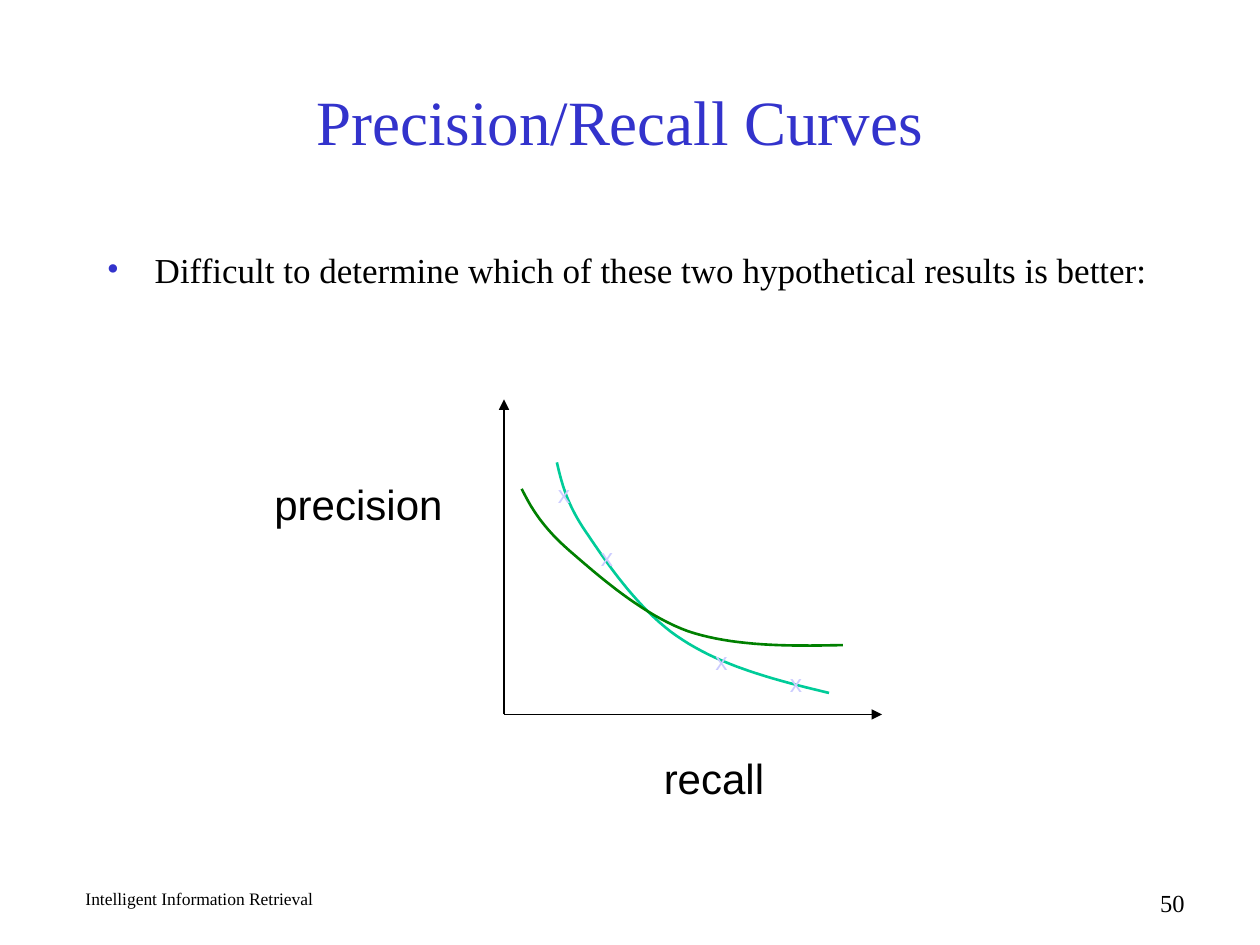
"""Build a slide comparing two hypothetical precision/recall curves."""
import pptx
import pptx.dml.color
import pptx.enum.shapes
import pptx.enum.text
import pptx.oxml
import pptx.oxml.ns
import pptx.util

Inches = pptx.util.Inches
Pt = pptx.util.Pt
RGBColor = pptx.dml.color.RGBColor
Align = pptx.enum.text.PP_ALIGN
Anchor = pptx.enum.text.MSO_ANCHOR

BLACK = RGBColor(0x00, 0x00, 0x00)
BLUE = RGBColor(0x33, 0x33, 0xCC)
TEAL = RGBColor(0x00, 0xCC, 0x99)
GREEN = RGBColor(0x00, 0x80, 0x00)
LAVENDER = RGBColor(0xCC, 0xCC, 0xFF)
SERIF = "Times New Roman"
SANS = "Arial"
STEPS = 20

deck = pptx.Presentation()
deck.slide_width = Inches(10)
deck.slide_height = Inches(7.5)
page = deck.slides.add_slide(deck.slide_layouts[6])


def add_text(text, left, top, width, height, size, font, color, align=Align.LEFT, wrap=True):
    box = page.shapes.add_textbox(Inches(left), Inches(top), Inches(width), Inches(height))
    box.text_frame.word_wrap = wrap
    if not wrap:
        box.text_frame.auto_size = pptx.enum.text.MSO_AUTO_SIZE.SHAPE_TO_FIT_TEXT
    para = box.text_frame.paragraphs[0]
    para.alignment = align
    span = para.add_run()
    span.text = text
    span.font.name = font
    span.font.size = Pt(size)
    span.font.color.rgb = color
    return box


def bezier_point(start, first, second, end, t):
    weights = ((1 - t) ** 3, 3 * t * (1 - t) ** 2, 3 * t ** 2 * (1 - t), t ** 3)
    return tuple(
        Inches(sum(weight * value for weight, value in zip(weights, values)))
        for values in zip(start, first, second, end)
    )


add_text("Intelligent Information Retrieval", 0.58, 7, 3.75, 0.25, 10, SERIF, BLACK)
add_text("50", 7.42, 7, 2.08, 0.25, 14, SERIF, BLACK, Align.RIGHT)
title = add_text("Precision/Recall Curves", 0.67, 0.33, 8.5, 1.25, 36, SERIF, BLUE, Align.CENTER)
title.text_frame.vertical_anchor = Anchor.MIDDLE

body = add_text(
    "Difficult to determine which of these two hypothetical results is better:",
    0.75, 1.92, 8.5, 4.5, 20, SERIF, BLACK,
)
para = body.text_frame.paragraphs[0]
para.space_before = Pt(4)
bullet = para._p.get_or_add_pPr()
bullet.set("marL", str(Inches(0.38)))
bullet.set("indent", str(Inches(-0.38)))
namespace = pptx.oxml.ns.nsdecls("a")
for xml in (
    f'<a:buClr {namespace}><a:srgbClr val="{BLUE}"/></a:buClr>',
    f'<a:buFont {namespace} typeface="{SERIF}"/>',
    f'<a:buChar {namespace} char="•"/>',
):
    bullet.append(pptx.oxml.parse_xml(xml))

origin = (4, 5.67)
for tip in ((4, 3.17), (7, 5.67)):
    axis = page.shapes.add_connector(
        pptx.enum.shapes.MSO_CONNECTOR.STRAIGHT, *map(Inches, origin + tip)
    )
    axis.line.color.rgb = BLACK
    axis.line.width = Pt(1)
    properties = axis._element.spPr
    outline = properties.find(pptx.oxml.ns.qn("a:ln"))
    outline.append(pptx.oxml.parse_xml(f'<a:tailEnd {namespace} type="triangle"/>'))
    properties.append(pptx.oxml.parse_xml(f"<a:effectLst {namespace}/>"))

curves = [
    (TEAL, [(4.42, 3.67), (4.46, 3.84), (4.5, 4.01), (4.67, 4.25), (4.83, 4.49),
            (5.1, 4.88), (5.42, 5.08), (5.74, 5.29), (6.16, 5.4), (6.58, 5.5)]),
    (GREEN, [(4.14, 3.88), (4.22, 4.04), (4.31, 4.19), (4.53, 4.38), (4.75, 4.57),
             (5.1, 4.88), (5.46, 5.01), (5.82, 5.13), (6.26, 5.13), (6.69, 5.12)]),
]
for color, controls in curves:
    points = [
        bezier_point(*controls[index:index + 4], step / STEPS)
        for index in range(0, len(controls) - 1, 3)
        for step in range(1, STEPS + 1)
    ]
    builder = page.shapes.build_freeform(*map(Inches, controls[0]))
    builder.add_line_segments(points, close=False)
    curve = builder.convert_to_shape()
    curve.shadow.inherit = False
    curve.fill.background()
    curve.line.color.rgb = color
    curve.line.width = Pt(1.5)

add_text("precision", 2.08, 3.75, 1.54, 0.5, 24, SANS, BLACK, wrap=False)
add_text("recall", 5.17, 5.92, 1, 0.5, 24, SANS, BLACK, wrap=False)
for left, top in ((5.58, 5.08), (4.33, 3.75), (4.67, 4.25), (6.17, 5.25)):
    add_text("x", left, top, 0.3, 0.33, 14, SANS, LAVENDER, wrap=False)

deck.save("out.pptx")
